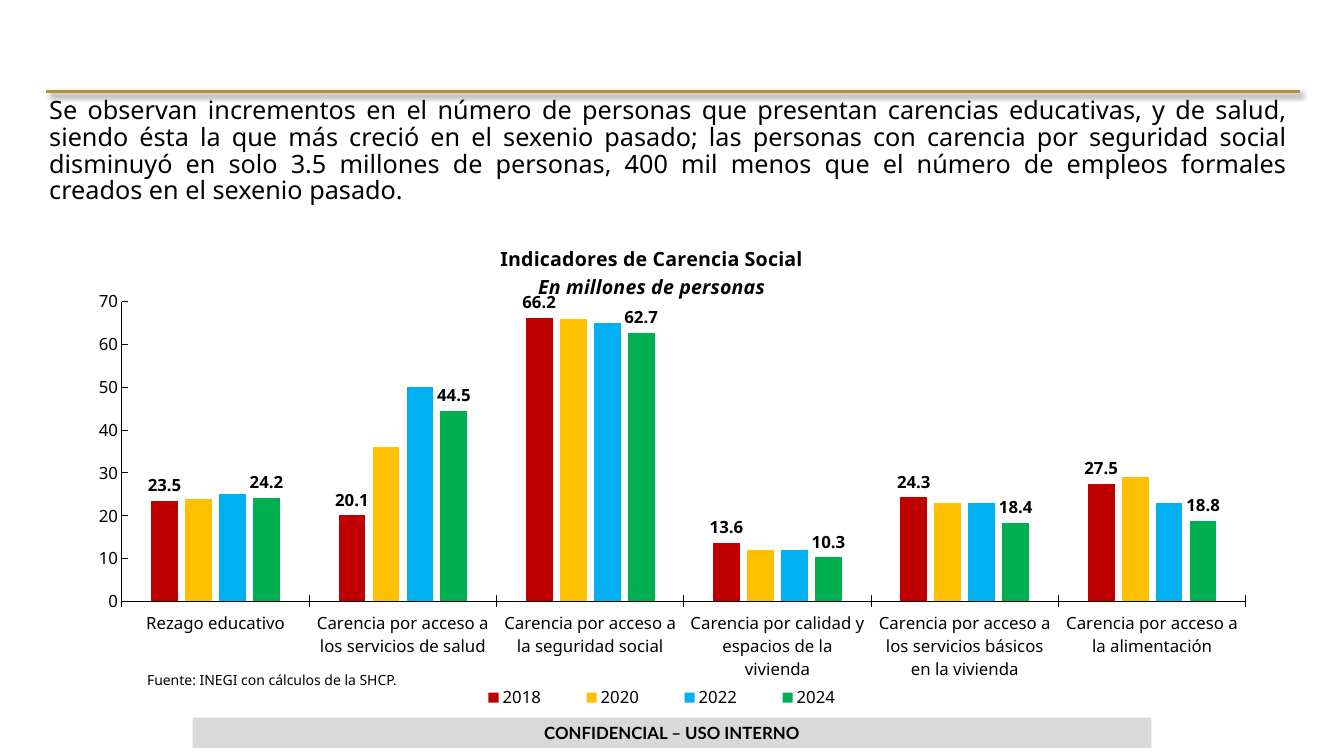
import pptx
import pptx.util
import pptx.chart.data
import pptx.dml.color
import pptx.enum.chart
import pptx.enum.shapes
import pptx.enum.text
import pptx.oxml
import pptx.oxml.ns

PX = 9144
FONT = "Noto Sans"
ALIGN = pptx.enum.text.PP_ALIGN
XL = pptx.enum.chart
NS = pptx.oxml.ns.nsdecls("a", "c")

HEADLINE = (
    "Se observan incrementos en el número de personas que presentan carencias "
    "educativas, y de salud, siendo ésta la que más creció en el sexenio pasado; "
    "las personas con carencia por seguridad social disminuyó en solo 3.5 millones "
    "de personas, 400 mil menos que el número de empleos formales creados en el "
    "sexenio pasado."
)
CATEGORIES = [
    "Rezago educativo",
    "Carencia por acceso a los servicios de salud",
    "Carencia por acceso a la seguridad social",
    "Carencia por calidad y espacios de la vivienda",
    "Carencia por acceso a los servicios básicos en la vivienda",
    "Carencia por acceso a la alimentación",
]
SERIES = [
    ("2018", "C00000", True, [23.5, 20.1, 66.2, 13.6, 24.3, 27.5]),
    ("2020", "FFC000", False, [24, 36, 66, 12, 23, 29]),
    ("2022", "00B0F0", False, [25, 50, 65, 12, 23, 23]),
    ("2024", "00B050", True, [24.2, 44.5, 62.7, 10.3, 18.4, 18.8]),
]


def rgb(value):
    """Turn a hex string into a colour."""
    return pptx.dml.color.RGBColor.from_string(value)


def emu(*lengths):
    """Turn px lengths into EMU."""
    return [pptx.util.Emu(n * PX) for n in lengths]


def set_all(obj, values):
    """Set every attribute named in a dict."""
    for name, value in values.items():
        setattr(obj, name, value)


def style_font(font, size, color="000000", **values):
    """Give a font its size, colour and other values."""
    set_all(font, {"size": pptx.util.Pt(size), "name": FONT, **values})
    font.color.rgb = rgb(color)


def write(tf, text, size, align, **values):
    """Write one paragraph into a text frame."""
    tf.word_wrap = True
    p = tf.paragraphs[0]
    p.alignment = align
    r = p.add_run()
    r.text = text
    style_font(r.font, size, **values)
    return p


def place(parent, index, **edges):
    """Give a chart part a manual layout at a child index."""
    for old in parent.findall(pptx.oxml.ns.qn("c:layout")):
        parent.remove(old)
    modes = "".join(f'<c:{n}Mode val="edge"/>' for n in "xy")
    sizes = "".join(f'<c:{n} val="{v}"/>' for n, v in edges.items())
    target = '<c:layoutTarget val="inner"/>' if index == 0 else ""
    parent.insert(index, pptx.oxml.parse_xml(
        f"<c:layout {NS}><c:manualLayout>{target}{modes}{sizes}"
        "</c:manualLayout></c:layout>"))


def add_banner(s, x, y, w, h):
    """Draw the grey confidentiality band."""
    sp = s.shapes.add_shape(pptx.enum.shapes.MSO_SHAPE.RECTANGLE, *emu(x, y, w, h))
    sp.shadow.inherit = False
    sp.fill.solid()
    sp.fill.fore_color.rgb = rgb("D9D9D9")
    sp.line.fill.background()
    write(sp.text_frame, "CONFIDENCIAL – USO INTERNO", 12, ALIGN.CENTER,
          name="Lato", bold=True)


def add_rule(s, x, y, w):
    """Draw the gold rule with its soft shadow."""
    line = s.shapes.add_connector(
        pptx.enum.shapes.MSO_CONNECTOR.STRAIGHT, *emu(x, y, x + w, y))
    line.line.color.rgb = rgb("B7903D")
    line.line.width = pptx.util.Pt(2.25)
    line._element.spPr.append(pptx.oxml.parse_xml(
        f'<a:effectLst {NS}><a:outerShdw blurRad="50800" dist="38100" dir="2700000">'
        '<a:srgbClr val="000000"><a:alpha val="40000"/></a:srgbClr>'
        "</a:outerShdw></a:effectLst>"))


def add_text(s, x, y, w, h, text, size, spacing):
    """Add a justified text box."""
    sp = s.shapes.add_textbox(*emu(x, y, w, h))
    p = write(sp.text_frame, text, size, ALIGN.JUSTIFY)
    p.line_spacing = spacing


def style_axis(axis, tick):
    """Give an axis its ticks, line and font."""
    set_all(axis, {"has_major_gridlines": False, "major_tick_mark": tick,
                   "minor_tick_mark": XL.XL_TICK_MARK.NONE})
    axis.format.line.color.rgb = rgb("000000")
    axis.format.line.width = pptx.util.Pt(0.75)
    style_font(axis.tick_labels.font, 12)


def add_title(chart):
    """Write the two-line chart title."""
    tf = chart.chart_title.text_frame
    lines = [("Indicadores de Carencia Social", False), ("En millones de personas", True)]
    for i, (text, italic) in enumerate(lines):
        p = tf.add_paragraph() if i else tf.paragraphs[0]
        r = p.add_run()
        r.text = text
        style_font(r.font, 14, bold=True, italic=italic)
    place(chart.chart_title._element, 1, x=0.37, y=0.04)


def add_column_chart(s, x, y, w, h):
    """Draw the clustered columns of social deprivation."""
    data = pptx.chart.data.CategoryChartData(number_format="#,##0.0")
    data.categories = CATEGORIES
    for name, _, _, values in SERIES:
        data.add_series(name, values)
    chart = s.shapes.add_chart(
        XL.XL_CHART_TYPE.COLUMN_CLUSTERED, *emu(x, y, w, h), data).chart
    style_font(chart.font, 12)
    add_title(chart)
    style_axis(chart.category_axis, XL.XL_TICK_MARK.CROSS)
    style_axis(chart.value_axis, XL.XL_TICK_MARK.INSIDE)
    set_all(chart.value_axis, {"minimum_scale": 0, "maximum_scale": 70, "major_unit": 10})
    set_all(chart.value_axis.tick_labels,
            {"number_format": "#,##0", "number_format_is_linked": False})
    plot = chart.plots[0]
    set_all(plot, {"gap_width": 219, "overlap": -27, "vary_by_categories": False})
    for series, (_, color, labelled, _) in zip(plot.series, SERIES):
        series.format.fill.solid()
        series.format.fill.fore_color.rgb = rgb(color)
        if labelled:
            set_all(series.data_labels, {
                "show_value": True, "number_format": "#,##0.0",
                "number_format_is_linked": False,
                "position": XL.XL_LABEL_POSITION.OUTSIDE_END})
            style_font(series.data_labels.font, 12, bold=True)
    chart.has_legend = True
    set_all(chart.legend, {"position": XL.XL_LEGEND_POSITION.BOTTOM,
                           "include_in_layout": False})
    style_font(chart.legend.font, 12)
    place(chart.legend._element, 1, x=0.33, y=0.88, w=0.35, h=0.06)
    place(chart._chartSpace.chart.plotArea, 0, x=0.062, y=0.156, w=0.922, h=0.571)


def build_slide(prs):
    """Build the slide from back to front."""
    s = prs.slides.add_slide(prs.slide_layouts[6])
    add_banner(s, 191, 712, 951, 30)
    add_rule(s, 46, 91, 1243)
    add_text(s, 136, 661, 591, 27, "Fuente: INEGI con cálculos de la SHCP.", 10, 1.0)
    add_column_chart(s, 46, 218, 1209, 521)
    add_text(s, 39, 93, 1247, 131, HEADLINE, 18, 0.88)


def main():
    """Create and save the presentation."""
    prs = pptx.Presentation()
    prs.slide_width, prs.slide_height = emu(1333, 750)
    build_slide(prs)
    prs.save("out.pptx")


if __name__ == "__main__":
    main()
